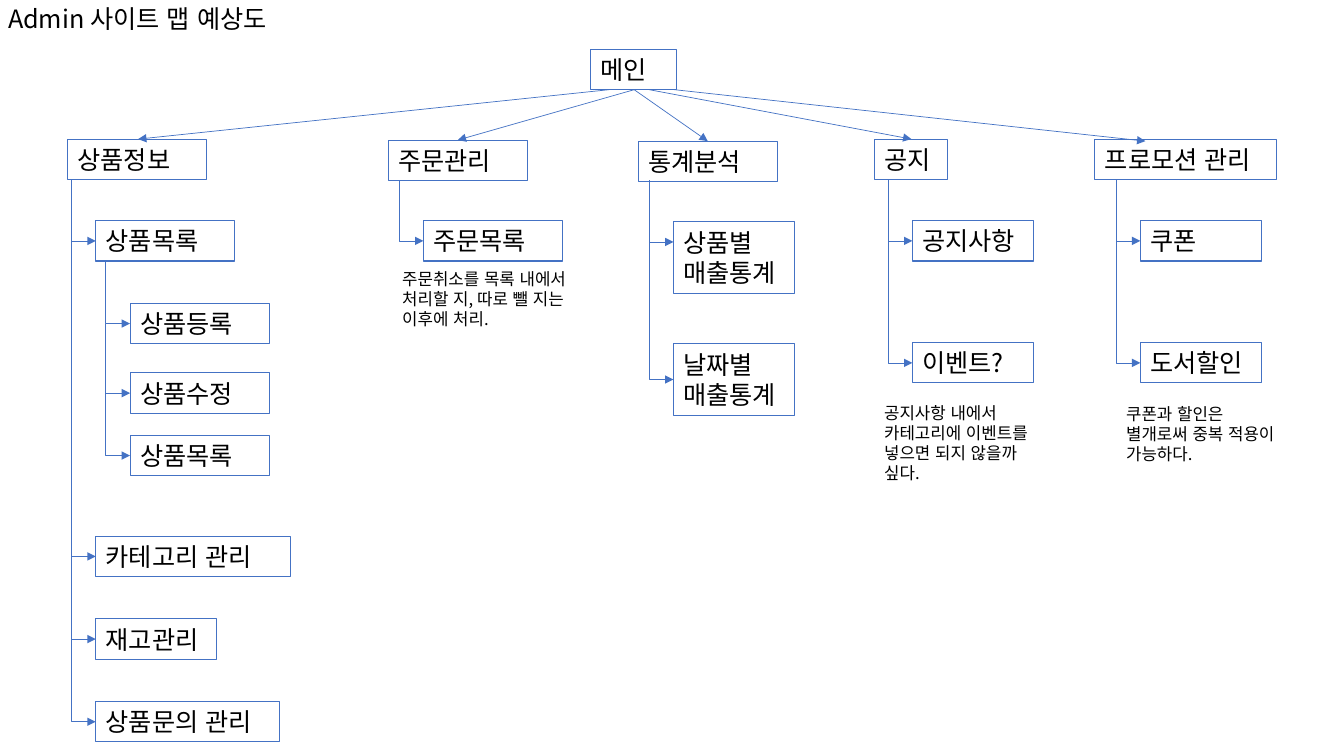
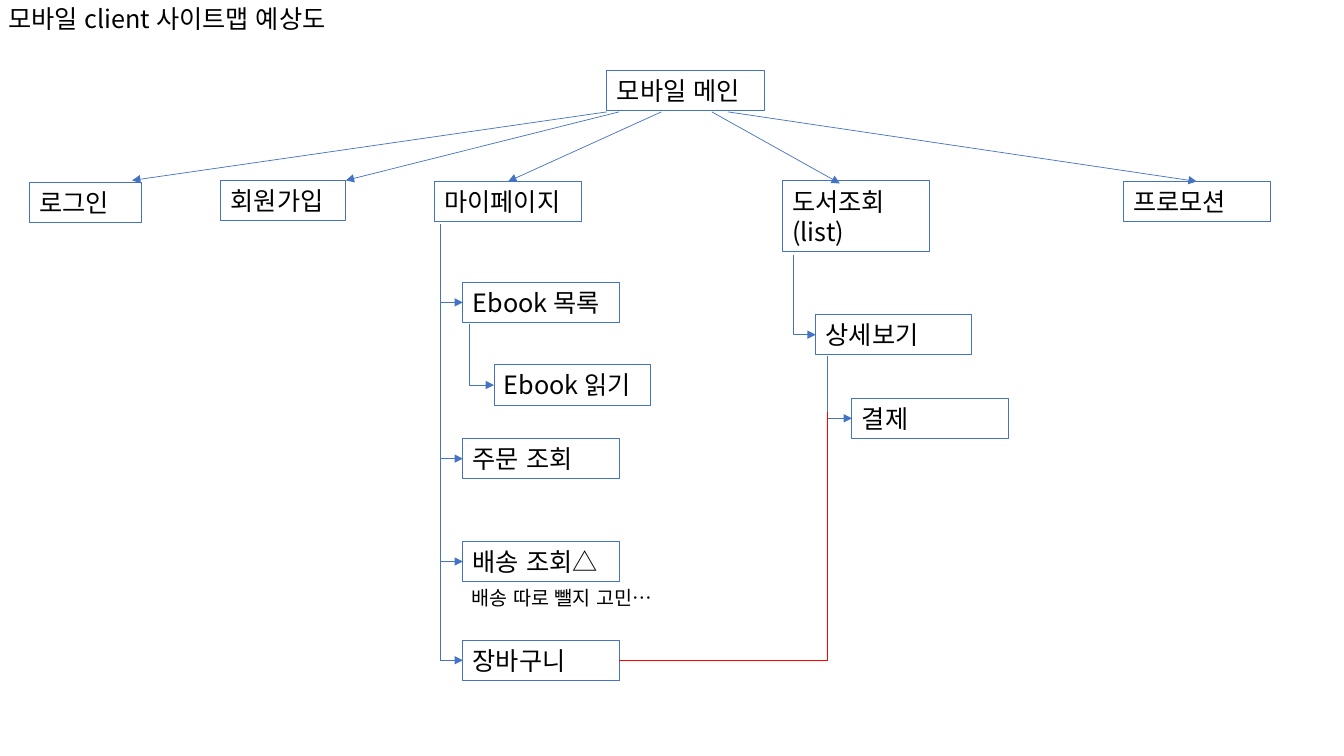
from lxml.etree import SubElement
from pptx import Presentation
from pptx.dml.color import RGBColor as RGB
from pptx.enum.lang import MSO_LANGUAGE_ID as Lang
from pptx.enum.shapes import MSO_CONNECTOR as Conn, MSO_SHAPE as Shape
from pptx.enum.text import MSO_ANCHOR as Anchor, MSO_AUTO_SIZE as Auto, PP_ALIGN as Align
from pptx.oxml.ns import qn
from pptx.util import Inches, Pt

COLORS = {"text": "000000", "line": "4472C4", "link": "FF0000"}
FONT = "Noto Sans CJK KR"
HIGH = 0.4
TALL = 0.71
LEAD = 1.19


def rgb(name):
    return RGB.from_string(COLORS[name])


def write(shape, text, size=18, anchor=Anchor.MIDDLE):
    frame = shape.text_frame
    frame.text = text
    frame.word_wrap = True
    frame.auto_size = Auto.NONE
    frame.vertical_anchor = anchor
    for para in frame.paragraphs:
        para.alignment = Align.LEFT
        para.line_spacing = Pt(round(size * LEAD, 1))
        font = para.font
        font.size = Pt(size)
        font.name = FONT
        font.color.rgb = rgb("text")
        font.language_id = Lang.KOREAN
        props = para._p.get_or_add_pPr().find(qn("a:defRPr"))
        SubElement(props, qn("a:ea")).set("typeface", FONT)


def start(deck, text):
    slide = deck.slides.add_slide(deck.slide_layouts[5])
    title = slide.shapes.title
    title.left, title.top = Inches(-0.02), Inches(-0.02)
    title.width, title.height = Inches(4.1), Inches(HIGH)
    write(title, text)
    return slide


def node(slide, text, x, y, w, h=HIGH):
    box = slide.shapes.add_shape(
        Shape.RECTANGLE, Inches(x), Inches(y), Inches(w), Inches(h))
    box.shadow.inherit = False
    box.fill.background()
    box.line.color.rgb = rgb("line")
    box.line.width = Pt(0.75)
    write(box, text)


def note(slide, text, x, y, w, h=TALL, size=12):
    box = slide.shapes.add_textbox(Inches(x), Inches(y), Inches(w), Inches(h))
    write(box, text, size, Anchor.TOP)


def wire(slide, kind, x1, y1, x2, y2, color="line", arrow=True):
    line = slide.shapes.add_connector(
        kind, Inches(x1), Inches(y1), Inches(x2), Inches(y2))
    line.line.color.rgb = rgb(color)
    line.line.width = Pt(0.5)
    props = line._element.spPr
    if arrow:
        SubElement(props.find(qn("a:ln")), qn("a:tailEnd")).set("type", "triangle")
    SubElement(props, qn("a:effectLst"))
    if kind == Conn.ELBOW:
        props.find(qn("a:prstGeom")).set("prst", "bentConnector2")
    return line


def elbow(slide, x1, y1, x2, y2):
    wide, high = x2 - x1, y2 - y1
    left = (x1 + x2 - high) / 2
    top = (y1 + y2 - wide) / 2
    line = wire(slide, Conn.ELBOW, left, top, left + high, top + wide)
    frame = line._element.spPr.find(qn("a:xfrm"))
    frame.set("rot", "16200000")
    frame.set("flipH", "1")


def branch(slide, x, y, items, gap=0.24, h=HIGH, drop=0.2):
    for text, top, w in items:
        node(slide, text, x, top, w, h)
        elbow(slide, x - gap, y, x, top + drop)
        y = top + drop


def fan(slide, y, rays):
    for x1, x2, y2 in rays:
        wire(slide, Conn.STRAIGHT, x1, y, x2, y2)


def admin(deck):
    slide = start(deck, "Admin 사이트 맵 예상도")
    node(slide, "메인", 5.86, 0.49, 0.85)
    for text, x, y, w in [
        ("상품정보", 0.67, 1.38, 1.38),
        ("주문관리", 3.85, 1.39, 1.38),
        ("통계분석", 6.33, 1.4, 1.38),
        ("공지", 8.67, 1.38, 0.73),
        ("프로모션 관리", 10.86, 1.38, 1.8),
    ]:
        node(slide, text, x, y, w)
    fan(slide, 0.89, [
        (6.04, 1.37, 1.38), (6.29, 4.54, 1.39), (6.29, 7.02, 1.4),
        (6.44, 9.04, 1.38), (6.69, 11.36, 1.4),
    ])
    branch(slide, 0.95, 1.79, [
        ("상품목록", 2.19, 1.38), ("카테고리 관리", 5.32, 1.93),
        ("재고관리", 6.14, 1.2), ("상품문의 관리", 6.96, 1.82),
    ])
    branch(slide, 1.29, 2.6, [
        ("상품등록", 3.01, 1.38), ("상품수정", 3.7, 1.38), ("상품목록", 4.32, 1.38),
    ])
    branch(slide, 4.2, 1.79, [("주문목록", 2.19, 1.38)])
    branch(slide, 6.68, 1.79, [("상품별\n매출통계", 2.2, 1.2)], h=TALL)
    branch(slide, 6.68, 2.4, [("날짜별 매출통계", 3.41, 1.2)], h=TALL, drop=TALL / 2)
    branch(slide, 9.05, 1.79, [("공지사항", 2.19, 1.2), ("이벤트?", 3.4, 1.2)])
    branch(slide, 11.31, 1.79, [("쿠폰", 2.19, 1.2), ("도서할인", 3.4, 1.2)])
    note(slide, "주문취소를 목록 내에서 처리할 지, 따로 뺄 지는 이후에 처리.", 3.89, 2.62, 2.15)
    note(slide, "공지사항 내에서 카테고리에 이벤트를 넣으면 되지 않을까 싶다.", 8.67, 3.95, 1.82)
    note(slide, "쿠폰과 할인은 별개로써 중복 적용이 가능하다.", 11.07, 3.96, 1.82)


def mobile(deck):
    slide = start(deck, "모바일 client 사이트맵 예상도")
    node(slide, "모바일 메인", 6.02, 0.7, 1.56)
    for text, x, y, w, h in [
        ("로그인", 0.29, 1.81, 1.11, HIGH),
        ("회원가입", 2.19, 1.79, 1.24, HIGH),
        ("마이페이지", 4.31, 1.8, 1.46, HIGH),
        ("도서조회\n(list)", 7.76, 1.79, 1.46, TALL),
        ("프로모션", 11.14, 1.8, 1.46, HIGH),
    ]:
        node(slide, text, x, y, w, h)
    fan(slide, 1.11, [
        (6.02, 1.31, 1.79), (6.14, 3.43, 1.79), (6.56, 5.04, 1.8),
        (7.06, 8.33, 1.82), (7.22, 11.87, 1.8),
    ])
    branch(slide, 4.59, 2.22, [
        ("Ebook 목록", 2.8, 1.55), ("주문 조회", 4.35, 1.55),
        ("배송 조회△", 5.37, 1.55), ("장바구니", 6.35, 1.55),
    ], gap=0.22)
    branch(slide, 4.9, 3.21, [("Ebook 읽기", 3.62, 1.55)])
    branch(slide, 8.09, 2.53, [("상세보기", 3.12, 1.55)], gap=0.22)
    branch(slide, 8.45, 3.53, [("결제", 3.95, 1.55)])
    note(slide, "배송 따로 뺄지 고민…", 4.58, 5.77, 2.75, 0.34, 14)
    wire(slide, Conn.ELBOW, 6.14, 6.55, 8.21, 4.09, "link", False)


def main():
    deck = Presentation()
    deck.slide_width, deck.slide_height = Inches(13.33), Inches(7.5)
    admin(deck)
    mobile(deck)
    deck.save("out.pptx")


main()
